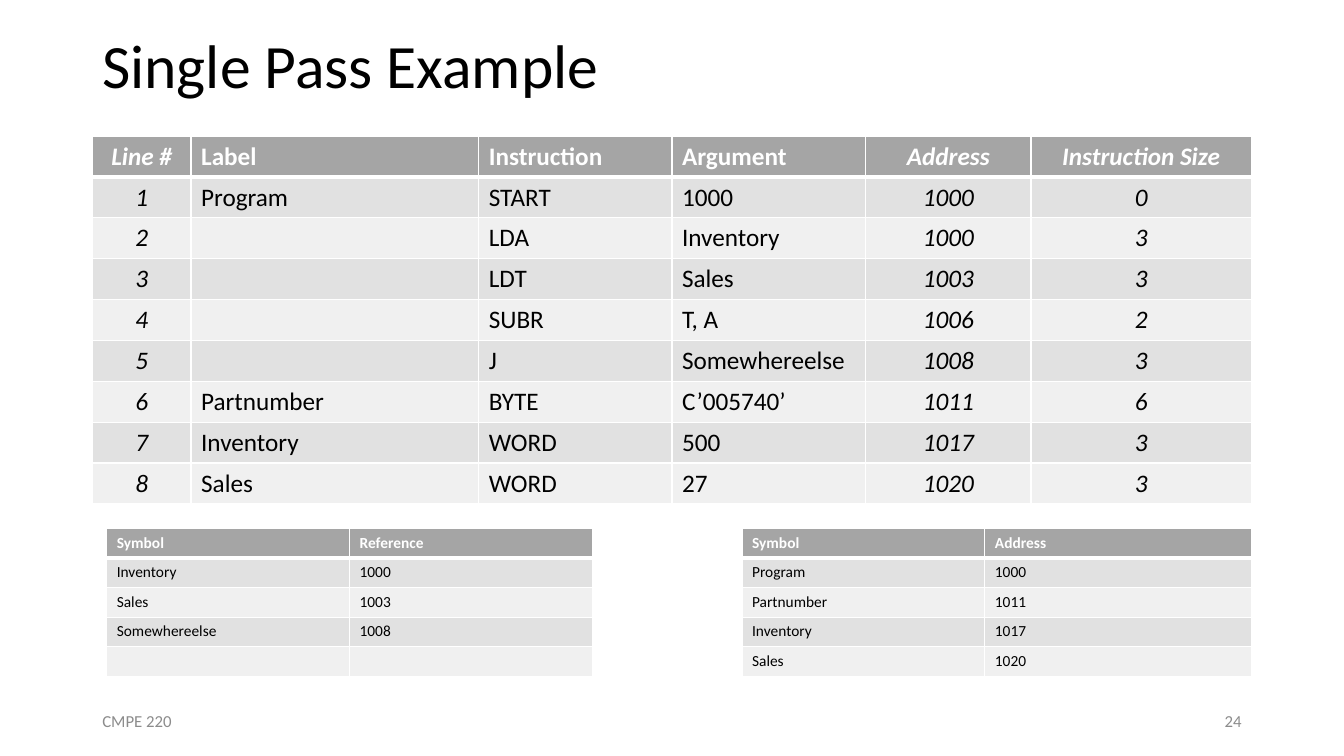
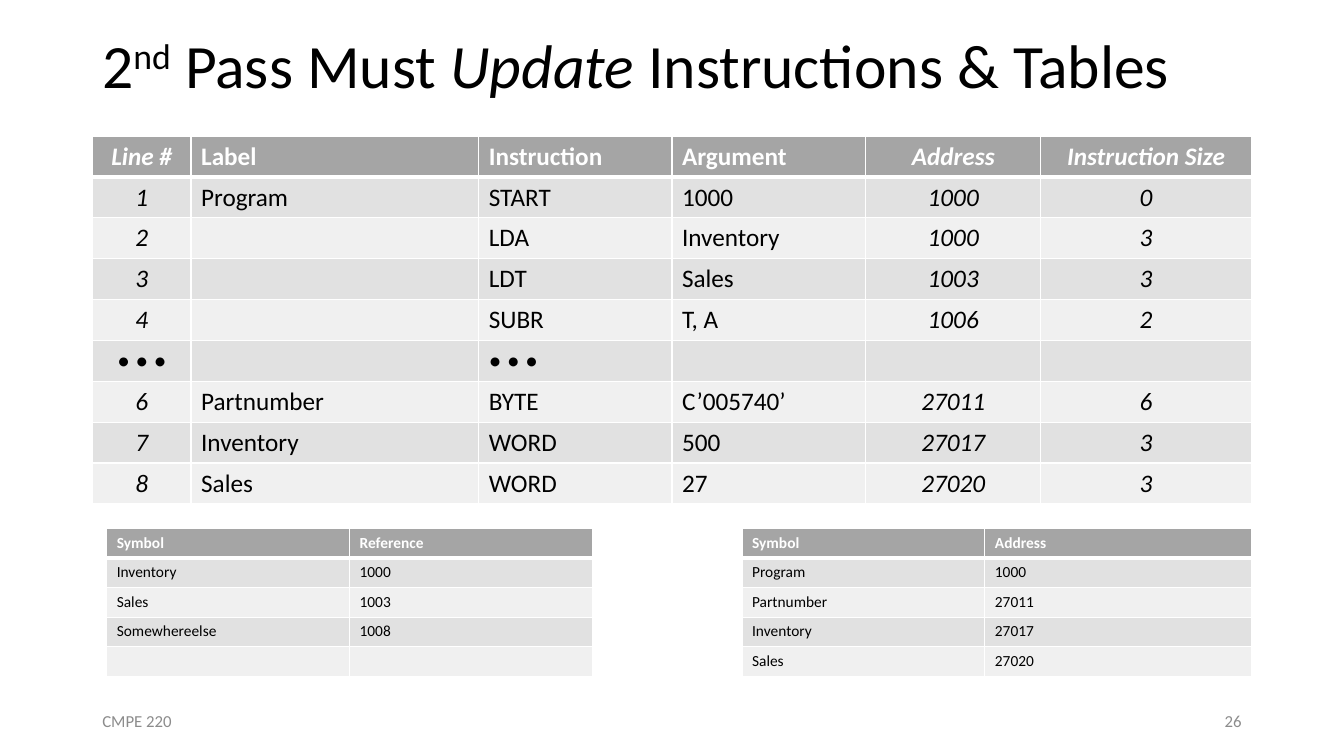
from lxml import etree
from pptx import Presentation
from pptx.dml.color import RGBColor
from pptx.enum import text
from pptx.oxml.ns import qn
from pptx.util import Pt

FONT = "Calibri"
WHITE, BLACK, GRAY = "FFFFFF", "000000", "8C8C8C"
HEADER_FILL, BAND_FILLS = "A5A5A5", ("E1E1E1", "F0F0F0")
LEFT, WIDTH = 66, 828
RIGHT = LEFT + WIDTH
LISTING_TOP, LISTING_ROW = 97.2, 29.2
SYMBOLS_TOP, SYMBOLS_ROW = 377.3, 21.2
FOOTER = "CMPE 220"
CENTERED = (0, 4, 5)

LISTING_HEAD = ("Line #", "Label", "Instruction", "Argument", "Address", "Instruction Size")
FIRST_LINES = [
    ("1", "Program", "START", "1000", "1000", "0"),
    ("2", "", "LDA", "Inventory", "1000", "3"),
    ("3", "", "LDT", "Sales", "1003", "3"),
    ("4", "", "SUBR", "T, A", "1006", "2"),
]
DATA_LINES = [
    ("6", "Partnumber", "BYTE", "C’005740’", "6"),
    ("7", "Inventory", "WORD", "500", "3"),
    ("8", "Sales", "WORD", "27", "3"),
]
REFERENCES = [
    ("Symbol", "Reference"),
    ("Inventory", "1000"),
    ("Sales", "1003"),
    ("Somewhereelse", "1008"),
    ("", ""),
]
SLIDES = [
    {
        "title": [("Single Pass Example", "")],
        "number": "24",
        "columns": (70.5, 205.5, 138, 138.5, 118, 157.5),
        "line_5": ("5", "", "J", "Somewhereelse", "1008", "3"),
        "addresses": ("1011", "1017", "1020"),
    },
    {
        "title": [("2", ""), ("nd", "super"), (" Pass Must ", ""), ("Update", "italic"),
                  (" Instructions & Tables", "")],
        "number": "26",
        "columns": (70.5, 205.5, 138, 138.5, 125, 150.5),
        "line_5": ("• • •", "", "• • •", "", "", ""),
        "addresses": ("27011", "27017", "27020"),
    },
]


def rgb(value):
    return RGBColor.from_string(value)


def style(r, size, color, bold=False, italic=False):
    r.font.name = FONT
    r.font.size = Pt(size)
    r.font.color.rgb = rgb(color)
    r.font.bold = bold
    r.font.italic = italic


def add_text(s, left, top, width, height, runs, size, color, align=text.PP_ALIGN.LEFT):
    tf = s.shapes.add_textbox(Pt(left), Pt(top), Pt(width), Pt(height)).text_frame
    tf.word_wrap = True
    tf.vertical_anchor = text.MSO_ANCHOR.MIDDLE
    p = tf.paragraphs[0]
    p.alignment = align
    for words, look in runs:
        r = p.add_run()
        r.text = words
        style(r, size, color, italic=look == "italic")
        if look == "super":
            r.font._element.set("baseline", "30000")
    return p


def set_borders(cell, top, bottom):
    tc_pr = cell._tc.get_or_add_tcPr()
    for side, width in (("L", 1), ("R", 1), ("T", top), ("B", bottom)):
        line = etree.SubElement(tc_pr, qn(f"a:ln{side}"), w=str(Pt(width)))
        fill = etree.SubElement(line, qn("a:solidFill"))
        etree.SubElement(fill, qn("a:srgbClr"), val=WHITE)


def fill_cell(cell, words, row, size, centered):
    set_borders(cell, 3 if row == 1 else 1, 3 if row == 0 else 1)
    cell.fill.solid()
    cell.fill.fore_color.rgb = rgb(BAND_FILLS[(row - 1) % 2] if row else HEADER_FILL)
    p = cell.text_frame.paragraphs[0]
    p.alignment = text.PP_ALIGN.CENTER if centered else text.PP_ALIGN.LEFT
    if words:
        p.text = words
        style(p.runs[0], size, BLACK if row else WHITE, bold=row == 0, italic=centered)
    else:
        etree.SubElement(p._p, qn("a:endParaRPr"), sz=str(size * 100))


def add_grid(s, left, top, columns, row_height, rows, size, centered=()):
    frame = s.shapes.add_table(len(rows), len(columns), Pt(left), Pt(top),
                               Pt(sum(columns)), Pt(row_height * len(rows)))
    table = frame.table
    table.horz_banding = False
    for column, width in zip(table.columns, columns):
        column.width = Pt(width)
    for i, values in enumerate(rows):
        table.rows[i].height = Pt(row_height)
        for j, words in enumerate(values):
            fill_cell(table.cell(i, j), words, i, size, j in centered)


def add_slide(prs, content):
    s = prs.slides.add_slide(prs.slide_layouts[6])
    title = add_text(s, LEFT, 0, WIDTH, 97.2, content["title"], 44, BLACK)
    title.line_spacing = 0.9

    data = [(*line[:4], address, line[4])
            for line, address in zip(DATA_LINES, content["addresses"])]
    listing = [LISTING_HEAD, *FIRST_LINES, content["line_5"], *data]
    add_grid(s, LEFT, LISTING_TOP, content["columns"], LISTING_ROW, listing, 18, CENTERED)

    labeled = [line for line in FIRST_LINES + data if line[1]]
    symbols = [("Symbol", "Address")] + [(line[1], line[4]) for line in labeled]
    symbol_columns = (173.5, 190.5)
    add_grid(s, RIGHT - sum(symbol_columns), SYMBOLS_TOP, symbol_columns, SYMBOLS_ROW, symbols, 11)
    add_grid(s, 76.2, SYMBOLS_TOP, (173.5, 173.5), SYMBOLS_ROW, REFERENCES, 11)

    add_text(s, LEFT, 500.5, 216, 28.8, [(FOOTER, "")], 12, GRAY)
    add_text(s, RIGHT - 216, 500.5, 216, 28.8, [(content["number"], "")], 12, GRAY,
             text.PP_ALIGN.RIGHT)


def main():
    prs = Presentation()
    prs.slide_width, prs.slide_height = Pt(960), Pt(540)
    for content in SLIDES:
        add_slide(prs, content)
    prs.save("out.pptx")


if __name__ == "__main__":
    main()
